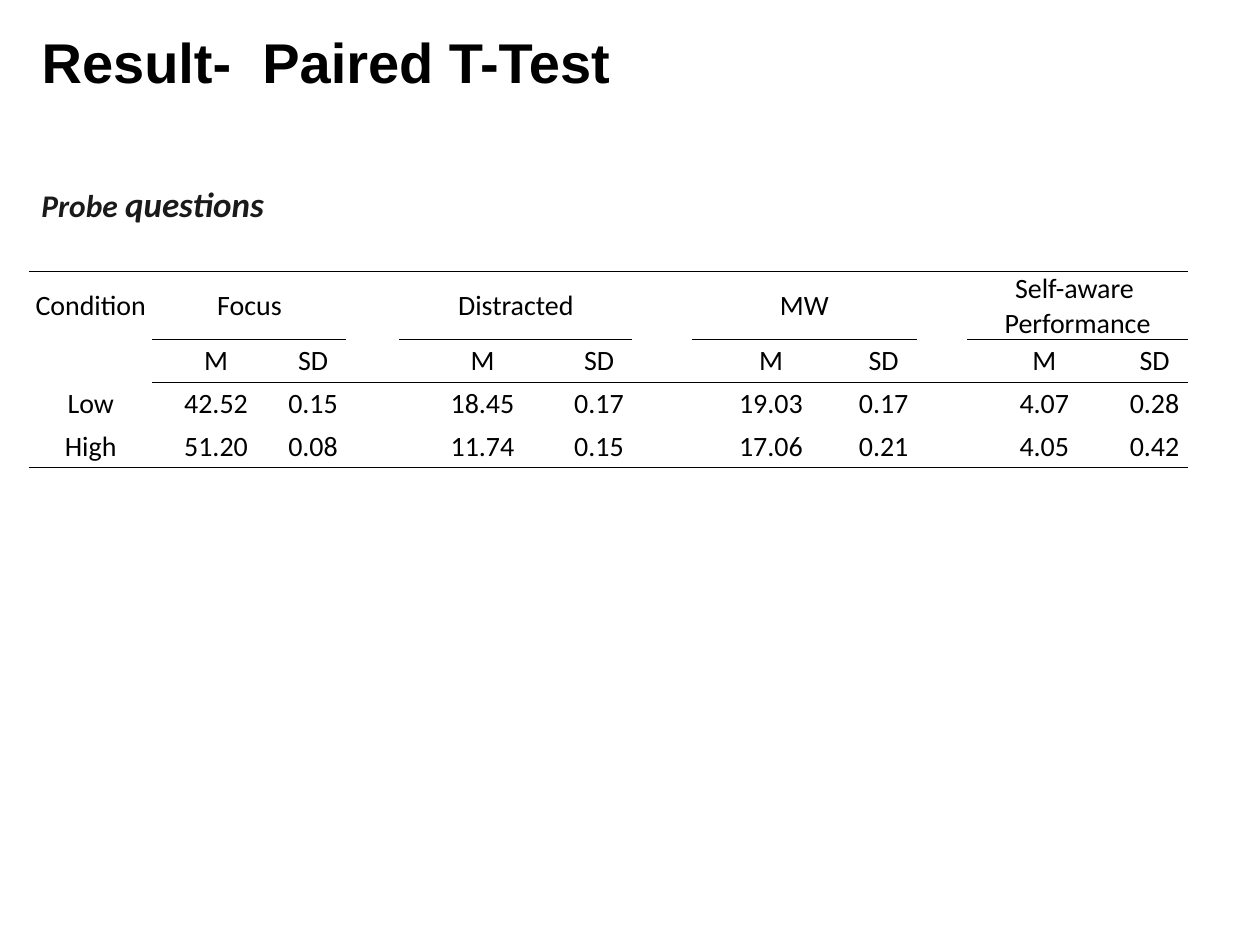
from dataclasses import dataclass

from lxml import etree
from pptx import Presentation
from pptx import util as u
from pptx.dml.color import RGBColor
from pptx.enum import text
from pptx.oxml import ns


@dataclass(frozen=True)
class Theme:
    ink: str = "000000"
    soft_ink: str = "1A1A1A"
    title_font: str = "Arial"
    body_font: str = "Calibri"
    title_size: int = 32
    label_sizes: tuple = (18, 20)
    table_size: int = 16
    rule_width: float = 0.5


@dataclass(frozen=True)
class Measure:
    """Two columns (M, SD) preceded by a lead column."""
    name: str
    lead_width: float
    mean_width: float
    low: tuple
    high: tuple


THEME = Theme()
LEFT = 0.23
SD_WIDTH = 0.53
ROW_HEIGHTS = (0.44, 0.34, 0.34, 0.34)
NO_GRID_STYLE = "{2D5ABB26-0587-4C30-8999-92F81FD0307C}"
MEASURES = (
    Measure("Focus", 0.98, 1.01, ("42.52", "0.15"), ("51.20", "0.08")),
    Measure("Distracted", 0.42, 1.32, ("18.45", "0.17"), ("11.74", "0.15")),
    Measure("MW", 0.47, 1.26, ("19.03", "0.17"), ("17.06", "0.21")),
    Measure("Self-aware  Performance", 0.4, 1.22, ("4.07", "0.28"), ("4.05", "0.42")),
)


def apply(target, values: dict) -> None:
    for name, value in values.items():
        setattr(target, name, value)


def add_run(paragraph, words: str, color: str, **font_values) -> None:
    run = paragraph.add_run()
    run.text = words
    run.font.color.rgb = RGBColor.from_string(color)
    apply(run.font, font_values)


def add_rule(cell, edge: str) -> None:
    """Draw a thin line on one edge of a cell: lnT or lnB."""
    properties = cell._tc.get_or_add_tcPr()
    line = etree.Element(ns.qn(f"a:{edge}"), w=str(u.Pt(THEME.rule_width)))
    fill = etree.SubElement(line, ns.qn("a:solidFill"))
    etree.SubElement(fill, ns.qn("a:srgbClr"), val=THEME.ink)
    properties.insert(1 if edge == "lnB" and properties.find(ns.qn("a:lnT")) is not None else 0, line)


def fill_cell(cell, words: str) -> None:
    cell.fill.background()
    apply(cell, dict(margin_left=u.Inches(0.01), margin_right=u.Inches(0.01),
                     margin_top=u.Inches(0.01), margin_bottom=0,
                     vertical_anchor=text.MSO_ANCHOR.MIDDLE))
    paragraph = cell.text_frame.paragraphs[0]
    paragraph.alignment = text.PP_ALIGN.CENTER
    if words:
        add_run(paragraph, words, THEME.ink, name=THEME.body_font,
                size=u.Pt(THEME.table_size))


def table_rows() -> list[list[str]]:
    rows = [[], [], [], []]
    for index, measure in enumerate(MEASURES):
        leads = ("Condition", "", "Low", "High") if index == 0 else ("",) * 4
        pairs = ((measure.name, ""), ("M", "SD"), measure.low, measure.high)
        for row, lead, pair in zip(rows, leads, pairs):
            row += [lead, *pair]
    return rows


def add_results(slide) -> None:
    widths = [width for measure in MEASURES
              for width in (measure.lead_width, measure.mean_width, SD_WIDTH)]
    frame = slide.shapes.add_table(
        len(ROW_HEIGHTS), len(widths), u.Inches(LEFT), u.Inches(2.15),
        u.Inches(sum(widths)), u.Inches(sum(ROW_HEIGHTS)))
    table = frame.table
    apply(table, dict(first_row=False, horz_banding=False))
    table._tbl.tblPr.find(ns.qn("a:tableStyleId")).text = NO_GRID_STYLE
    for column, width in zip(table.columns, widths):
        column.width = u.Inches(width)
    for row, height in zip(table.rows, ROW_HEIGHTS):
        row.height = u.Inches(height)

    # Cell text and horizontal rules
    last_row = len(ROW_HEIGHTS) - 1
    for row_index, row in enumerate(table_rows()):
        for column_index, words in enumerate(row):
            cell = table.cell(row_index, column_index)
            fill_cell(cell, words)
            if row_index == 0:
                add_rule(cell, "lnT")
            under_measure = row_index == 0 and column_index % 3 > 0
            under_heads = row_index == 1 and column_index > 0
            if under_measure or under_heads or row_index == last_row:
                add_rule(cell, "lnB")

    # Measure names span their M and SD columns
    for column_index in range(1, len(widths), 3):
        table.cell(0, column_index).merge(table.cell(0, column_index + 1))


def add_label(slide) -> None:
    box = slide.shapes.add_textbox(*map(u.Inches, (LEFT, 1.4, 1.99, 0.44)))
    apply(box.text_frame, dict(word_wrap=False,
                               auto_size=text.MSO_AUTO_SIZE.SHAPE_TO_FIT_TEXT))
    for words, size in zip(("Probe ", "questions"), THEME.label_sizes):
        add_run(box.text_frame.paragraphs[0], words, THEME.soft_ink,
                name=THEME.body_font, size=u.Pt(size), bold=True, italic=True)


def set_title(slide) -> None:
    title = slide.shapes.title
    apply(title, dict(left=u.Inches(LEFT), top=u.Inches(0.17),
                      width=u.Inches(8.62), height=u.Inches(1.45)))
    apply(title.text_frame, dict(vertical_anchor=text.MSO_ANCHOR.TOP, word_wrap=True,
                                 auto_size=text.MSO_AUTO_SIZE.NONE))
    paragraph = title.text_frame.paragraphs[0]
    paragraph.alignment = text.PP_ALIGN.LEFT
    add_run(paragraph, "Result-  Paired T-Test", THEME.ink, name=THEME.title_font,
            size=u.Pt(THEME.title_size), bold=True)


def main() -> None:
    presentation = Presentation()
    apply(presentation, dict(slide_width=u.Inches(10), slide_height=u.Inches(7.5)))
    slide = presentation.slides.add_slide(presentation.slide_layouts.get_by_name("Title Only"))
    set_title(slide)
    add_label(slide)
    add_results(slide)
    presentation.save("out.pptx")


main()
